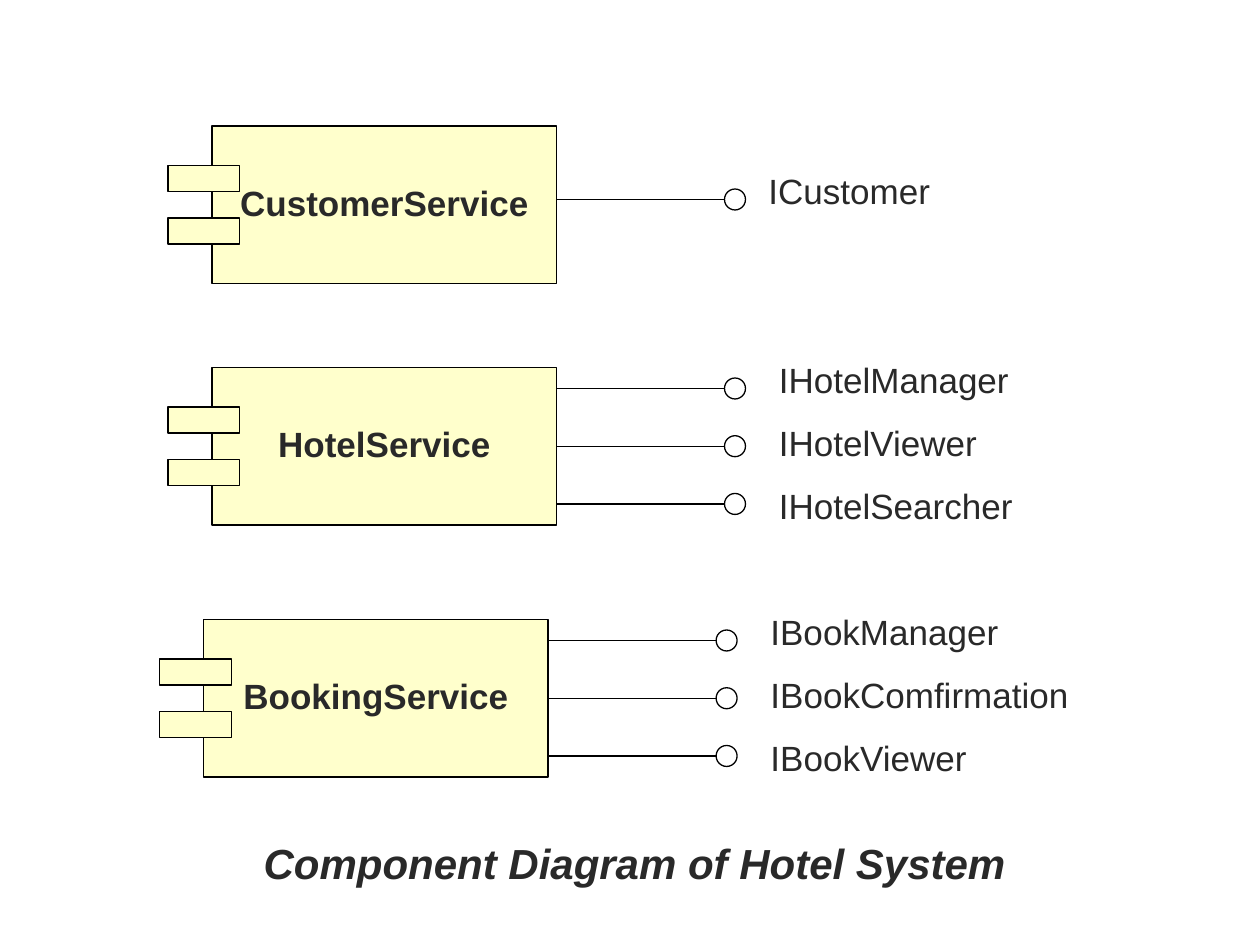
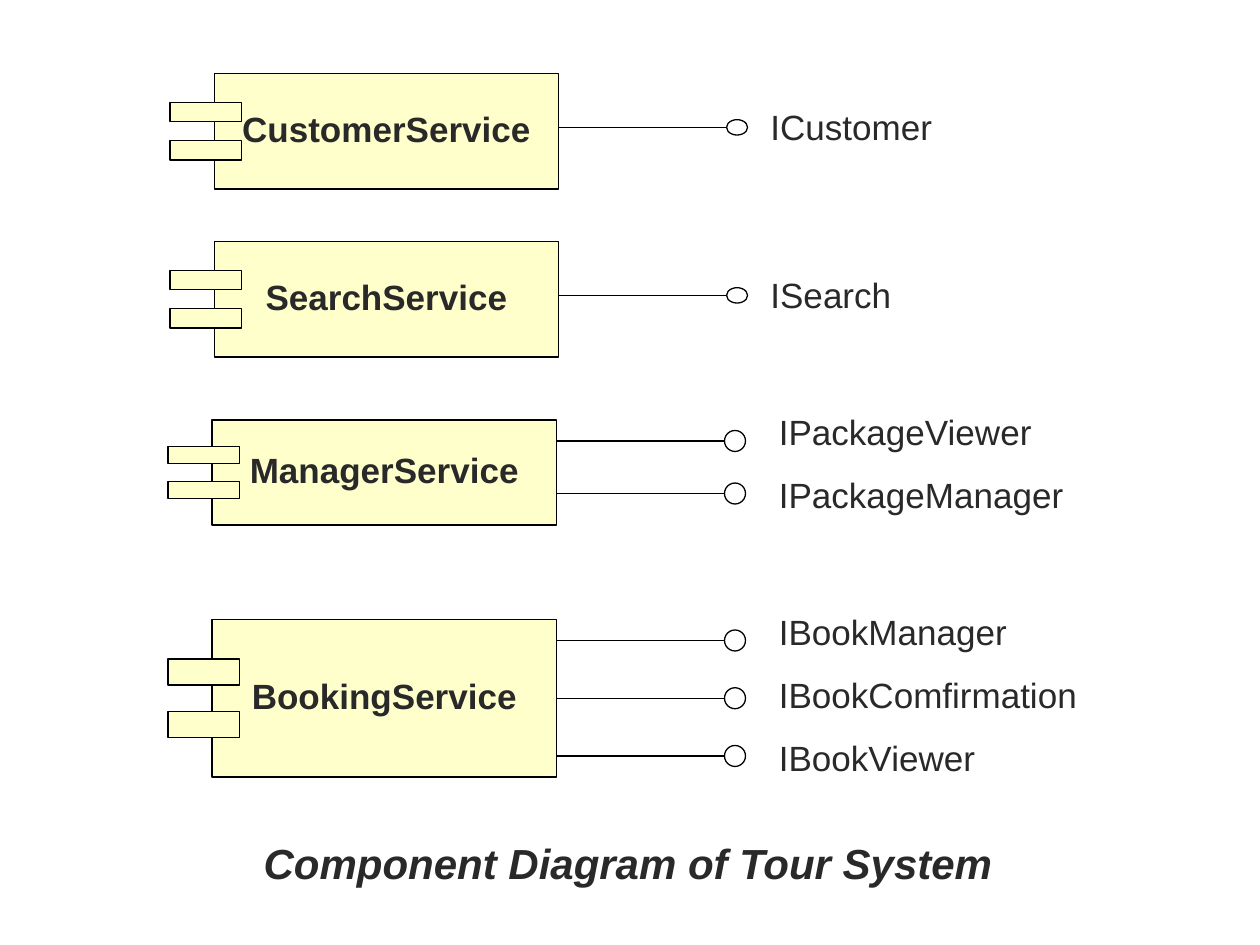
from dataclasses import dataclass
from typing import Any

from lxml import etree
from pptx import Presentation
from pptx.dml.color import RGBColor
from pptx.enum.shapes import MSO_CONNECTOR, MSO_SHAPE
from pptx.enum.text import MSO_ANCHOR, MSO_AUTO_SIZE, PP_ALIGN
from pptx.oxml.ns import qn
from pptx.util import Inches, Pt

RECTANGLE, ELLIPSE = MSO_SHAPE.RECTANGLE, MSO_SHAPE.OVAL
STRAIGHT = MSO_CONNECTOR.STRAIGHT
TOP, MIDDLE = MSO_ANCHOR.TOP, MSO_ANCHOR.MIDDLE
LEFT, CENTER = PP_ALIGN.LEFT, PP_ALIGN.CENTER
FIT_BOX, FIXED_BOX = MSO_AUTO_SIZE.SHAPE_TO_FIT_TEXT, MSO_AUTO_SIZE.NONE

INK = RGBColor(0x29, 0x29, 0x29)
OUTLINE = RGBColor(0x00, 0x00, 0x00)
CREAM = RGBColor(0xFF, 0xFF, 0xCC)

LABEL_FONT = {"name": "Arial", "size": Pt(20), "bold": False, "italic": False}
SERVICE_FONT = LABEL_FONT | {"bold": True}
CAPTION_FONT = SERVICE_FONT | {"size": Pt(24), "italic": True}

# The slide is a grid of 120 columns by 90 rows.
SLIDE_WIDTH, SLIDE_HEIGHT = Inches(10), Inches(7.5)
COLUMN, ROW = SLIDE_WIDTH / 120, SLIDE_HEIGHT / 90

BODY_WIDTH = 32.8
FULL_HEIGHT = 15
TAB_OVERHANG, TAB_WIDTH = 4.2, 6.84
TAB_TOPS, TAB_HEIGHT = (1 / 4, 7 / 12), 1 / 6  # shares of the body height
STICK_LENGTH, BALL_SIZE = 16, 2
LABEL_PITCH, LABEL_HEIGHT = 6, 4.8
CAPTION_LEFT, CAPTION_TOP, CAPTION_HEIGHT = 23.9, 79.7, 5.5


@dataclass(frozen=True)
class Interface:
    name: str
    width: float
    wrap: bool = False


@dataclass(frozen=True)
class Component:
    name: str
    left: float
    top: float
    height: float
    interfaces: tuple[Interface, ...]
    stick_pitch: float = 5.5


@dataclass(frozen=True)
class Diagram:
    caption: str
    caption_width: float
    components: tuple[Component, ...]


CUSTOMER = (Interface("ICustomer", 17.9),)
BOOKING = (
    Interface("IBookManager", 24.2),
    Interface("IBookComfirmation", 30.8),
    Interface("IBookViewer", 21.2),
)
HOTEL = (
    Interface("IHotelManager", 24.4),
    Interface("IHotelViewer", 25, wrap=True),
    Interface("IHotelSearcher", 24.7),
)
PACKAGE = (
    Interface("IPackageViewer", 26.6),
    Interface("IPackageManager", 31, wrap=True),
)

DIAGRAMS = (
    Diagram("Component Diagram of Hotel System", 73.2, (
        Component("CustomerService", 20.2, 12, 15, CUSTOMER),
        Component("HotelService", 20.2, 35, 15, HOTEL),
        Component("BookingService", 19.4, 59, 15, BOOKING),
    )),
    Diagram("Component Diagram of Tour System", 72, (
        Component("CustomerService", 20.4, 7, 11, CUSTOMER),
        Component("SearchService", 20.4, 23, 11, (Interface("ISearch", 13.9),)),
        Component("ManagerService", 20.2, 40, 10, PACKAGE, stick_pitch=5),
        Component("BookingService", 20.2, 59, 15, BOOKING),
    )),
)


def on_grid(left: float, top: float, width: float, height: float) -> tuple[int, ...]:
    """Turn columns and rows into slide lengths."""
    return (round(left * COLUMN), round(top * ROW),
            round(width * COLUMN), round(height * ROW))


def write(frame: Any, text: str, font: dict[str, Any], align: Any = LEFT,
          anchor: Any = TOP, wrap: bool = True, fit: Any = FIXED_BOX) -> None:
    frame.text = text
    frame.word_wrap = wrap
    frame.auto_size = fit
    frame.vertical_anchor = anchor
    paragraph = frame.paragraphs[0]
    paragraph.alignment = align
    paragraph.line_spacing = 0.9
    paragraph.space_before = Pt(0)
    for attribute, value in font.items():
        setattr(paragraph.font, attribute, value)
    paragraph.font.color.rgb = INK


def set_outline(line: Any) -> None:
    line.color.rgb = OUTLINE
    line.width = Pt(0.75)


def add_outlined(shapes: Any, preset: Any, box: tuple[int, ...],
                 fill: RGBColor | None = None) -> Any:
    shape = shapes.add_shape(preset, *box)
    shape.shadow.inherit = False
    if fill is None:
        shape.fill.background()
    else:
        shape.fill.solid()
        shape.fill.fore_color.rgb = fill
    set_outline(shape.line)
    return shape


def add_lollipop(shapes: Any, left: float, middle: float, ball_height: float) -> None:
    """Draw a provided interface: a stick that ends in a ball."""
    ball_left = left + STICK_LENGTH
    start_x, y, end_x, _ = on_grid(left, middle, ball_left, 0)
    stick = shapes.add_connector(STRAIGHT, start_x, y, end_x, y)
    set_outline(stick.line)
    etree.SubElement(stick._element.spPr, qn("a:effectLst"))
    add_outlined(shapes, ELLIPSE, on_grid(
        ball_left, middle - ball_height / 2, BALL_SIZE, ball_height))


def add_component(slide: Any, component: Component) -> None:
    shapes = slide.shapes.add_group_shape().shapes
    left, top, height = component.left, component.top, component.height
    body = add_outlined(shapes, RECTANGLE, on_grid(left, top, BODY_WIDTH, height), CREAM)
    write(body.text_frame, component.name, SERVICE_FONT, CENTER, MIDDLE)
    for share in TAB_TOPS:
        add_outlined(shapes, RECTANGLE, on_grid(
            left - TAB_OVERHANG, top + share * height,
            TAB_WIDTH, TAB_HEIGHT * height), CREAM)

    # A lone interface scales with its body; several keep a fixed size and pitch.
    if len(component.interfaces) == 1:
        scale = height / FULL_HEIGHT
        first_stick, first_label, label_offset = 7 * scale, 4 * scale, 51.8
    else:
        scale = 1
        first_stick, first_label, label_offset = 2, -1, 52.8
    for index, interface in enumerate(component.interfaces):
        add_lollipop(shapes, left + BODY_WIDTH,
                     top + first_stick + index * component.stick_pitch,
                     BALL_SIZE * scale)
        label = shapes.add_textbox(*on_grid(
            left + label_offset, top + first_label + index * LABEL_PITCH,
            interface.width, LABEL_HEIGHT))
        write(label.text_frame, interface.name, LABEL_FONT,
              wrap=interface.wrap, fit=FIT_BOX)


def add_diagram(deck: Any, diagram: Diagram) -> None:
    slide = deck.slides.add_slide(deck.slide_layouts[5])
    caption = slide.shapes.title
    caption.left, caption.top, caption.width, caption.height = on_grid(
        CAPTION_LEFT, CAPTION_TOP, diagram.caption_width, CAPTION_HEIGHT)
    write(caption.text_frame, diagram.caption, CAPTION_FONT, wrap=False, fit=FIT_BOX)
    for component in diagram.components:
        add_component(slide, component)


def main() -> None:
    deck = Presentation()
    deck.slide_width, deck.slide_height = SLIDE_WIDTH, SLIDE_HEIGHT
    for diagram in DIAGRAMS:
        add_diagram(deck, diagram)
    deck.save("out.pptx")


if __name__ == "__main__":
    main()
